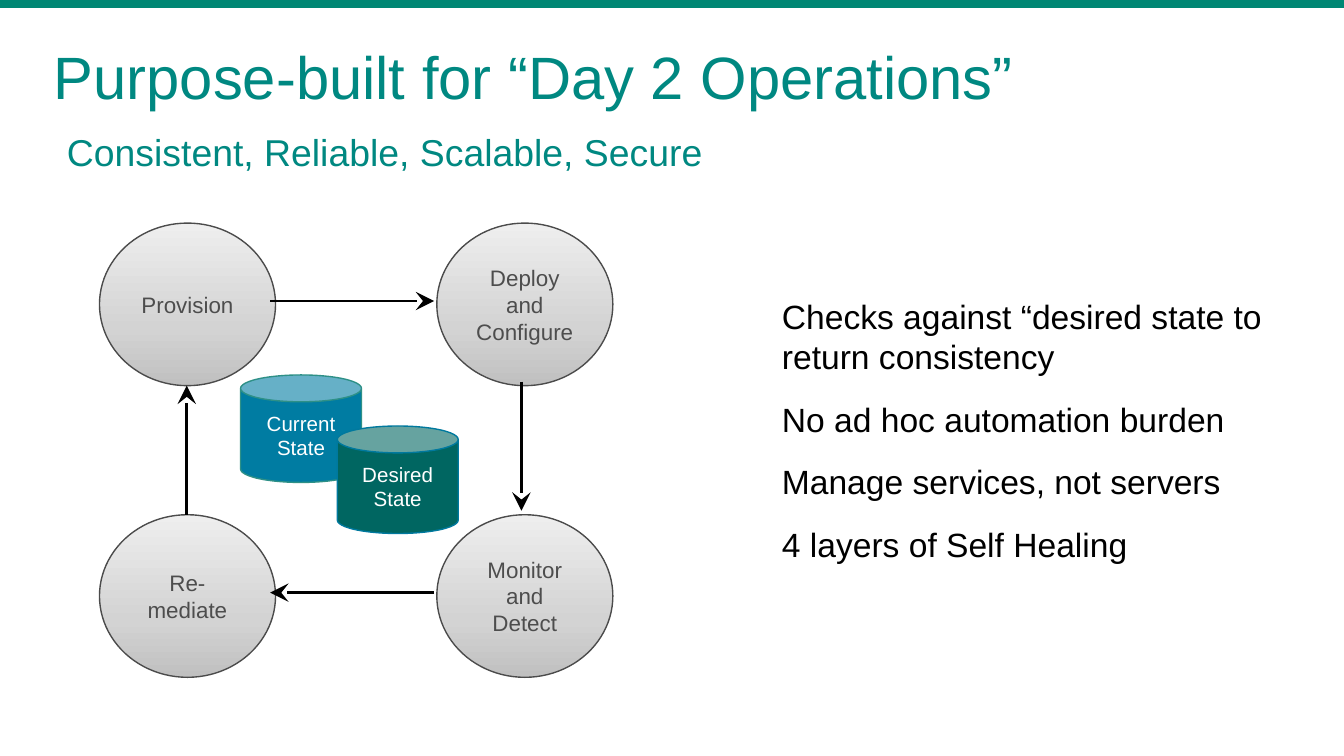
from dataclasses import dataclass
from lxml import etree
from pptx import Presentation
from pptx.dml.color import RGBColor
from pptx.enum.shapes import MSO_CONNECTOR, MSO_SHAPE
from pptx.enum.text import MSO_ANCHOR as Anchor, PP_ALIGN as Align
from pptx.oxml.ns import qn
from pptx.util import Pt

EMU_PER_PX = 9144
PAGE_WIDTH = 1000
TEAL = "008881"
GRAY_STOPS = {0: "C0C0C0", 35: "D3D3D3", 100: "EEEEEE"}
CIRCLE_WIDTH, CIRCLE_HEIGHT = 131, 121
LEFT, RIGHT, TOP, BOTTOM = 74, 325, 166, 383


@dataclass
class Area:
    left: int
    top: int
    width: int
    height: int


@dataclass
class Style:
    size: int
    color: str
    align: Align = Align.LEFT
    line_spacing: float = 1.0
    space_before: int = 0
    indent: int = 0


@dataclass
class Stage:
    left: int
    top: int
    label: str


@dataclass
class Arrow:
    start: tuple[int, int]
    end: tuple[int, int]


@dataclass
class Store:
    left: int
    top: int
    lines: list[str]
    fill: str
    line: str


STAGES = [
    Stage(LEFT, TOP, "Provision"),
    Stage(RIGHT, TOP, "Deploy and Configure"),
    Stage(RIGHT, BOTTOM, "Monitor and Detect"),
    Stage(LEFT, BOTTOM, "Re-mediate"),
]
ARROWS = [
    Arrow((201, 224), (323, 224)),
    Arrow((388, 284), (388, 380)),
    Arrow((139, 383), (139, 287)),
    Arrow((323, 441), (201, 441)),
]
STORES = [
    Store(179, 279, ["Current", "State"], "007CA2", "2E9087"),
    Store(251, 317, ["Desired", "State"], "006661", "00799E"),
]
BENEFITS = [
    "Checks against “desired state to return consistency",
    "No ad hoc automation burden",
    "Manage services, not servers",
    "4 layers of Self Healing",
]


def px(length: int) -> int:
    return length * EMU_PER_PX


def rgb(color: str) -> RGBColor:
    return RGBColor.from_string(color)


def set_attributes(target, values: dict) -> None:
    for name, value in values.items():
        setattr(target, name, value)


def write_text(frame, lines: list[str], style: Style, anchor: Anchor,
               inset_x: int, inset_y: int) -> None:
    set_attributes(frame, {
        "word_wrap": True, "vertical_anchor": anchor,
        "margin_left": px(inset_x), "margin_right": px(inset_x),
        "margin_top": px(inset_y), "margin_bottom": px(inset_y),
    })
    for index, line in enumerate(lines):
        para = frame.add_paragraph() if index else frame.paragraphs[0]
        set_attributes(para, {
            "alignment": style.align, "line_spacing": style.line_spacing,
            "space_before": Pt(style.space_before if index else 0),
        })
        if style.indent:
            para._p.get_or_add_pPr().set("marL", str(px(style.indent)))
        span = para.add_run()
        span.text = line
        set_attributes(span.font, {"name": "Arial", "size": Pt(style.size)})
        span.font.color.rgb = rgb(style.color)


def add_text(page, area: Area, lines: list[str], style: Style, inset: int) -> None:
    box = page.shapes.add_textbox(px(area.left), px(area.top), px(area.width), px(area.height))
    write_text(box.text_frame, lines, style, Anchor.TOP, inset, inset)


def add_figure(page, kind: MSO_SHAPE, area: Area, fill: str, line: str = ""):
    figure = page.shapes.add_shape(kind, px(area.left), px(area.top), px(area.width), px(area.height))
    figure.shadow.inherit = False
    figure.fill.solid()
    figure.fill.fore_color.rgb = rgb(fill)
    if line:
        figure.line.color.rgb = rgb(line)
        figure.line.width = Pt(0.75)
    else:
        figure.line.fill.background()
    return figure


def shade(figure, stops: dict[int, str]) -> None:
    figure.fill.gradient()
    gradient = figure._element.spPr.find(qn("a:gradFill"))
    stop_list = gradient.find(qn("a:gsLst"))
    stop_list.clear()
    for percent, color in stops.items():
        stop = etree.SubElement(stop_list, qn("a:gs"), pos=str(percent * 1000))
        etree.SubElement(stop, qn("a:srgbClr"), val=color)
    figure.fill.gradient_angle = 90


def add_stage(page, stage: Stage) -> None:
    area = Area(stage.left, stage.top, CIRCLE_WIDTH, CIRCLE_HEIGHT)
    circle = add_figure(page, MSO_SHAPE.OVAL, area, GRAY_STOPS[0], "4B4B4B")
    shade(circle, GRAY_STOPS)
    style = Style(12, "4D4D4D", Align.CENTER)
    write_text(circle.text_frame, [stage.label], style, Anchor.MIDDLE, 10, 5)


def add_arrow(page, arrow: Arrow) -> None:
    ends = [px(value) for value in arrow.start + arrow.end]
    connector = page.shapes.add_connector(MSO_CONNECTOR.STRAIGHT, *ends)
    connector.line.color.rgb = rgb("000000")
    connector.line.width = Pt(1.5)
    etree.SubElement(connector.line._get_or_add_ln(), qn("a:tailEnd"),
                     type="stealth", w="lg", len="lg")
    etree.SubElement(connector._element.spPr, qn("a:effectLst"))


def add_store(page, store: Store) -> None:
    area = Area(store.left, store.top, 90, 80)
    can = add_figure(page, MSO_SHAPE.CAN, area, store.fill, store.line)
    can.adjustments[0] = 0.25
    style = Style(11, "FFFFFF", Align.CENTER)
    write_text(can.text_frame, store.lines, style, Anchor.MIDDLE, 10, 5)


def main() -> None:
    deck = Presentation()
    set_attributes(deck, {
        "slide_width": px(PAGE_WIDTH),
        "slide_height": px(PAGE_WIDTH) * 9 // 16,
    })
    page = deck.slides.add_slide(deck.slide_layouts[6])
    add_figure(page, MSO_SHAPE.RECTANGLE, Area(0, 0, PAGE_WIDTH, 6), "008774")
    add_text(page, Area(40, 86, 920, 38), ["Consistent, Reliable, Scalable, Secure"],
             Style(20, TEAL), 10)
    add_text(page, Area(40, 36, 920, 50), ["Purpose-built for “Day 2 Operations”"],
             Style(32, TEAL, line_spacing=0.9), 0)
    add_text(page, Area(541, 210, 422, 234), BENEFITS,
             Style(18, "000000", space_before=12, indent=31), 10)
    for stage in STAGES:
        add_stage(page, stage)
    for arrow in ARROWS:
        add_arrow(page, arrow)
    for store in STORES:
        add_store(page, store)
    deck.save("out.pptx")


if __name__ == "__main__":
    main()
